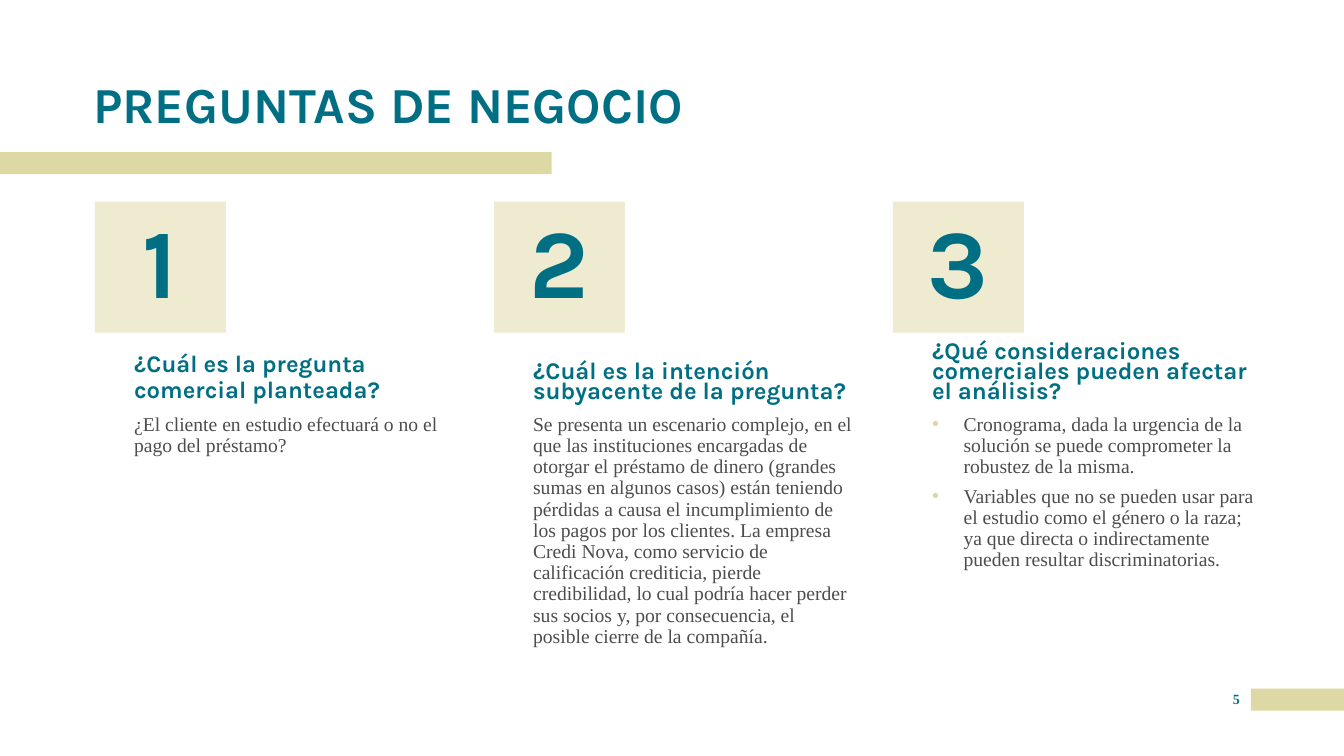
from dataclasses import dataclass
from lxml.etree import SubElement
from pptx import Presentation
from pptx.dml.color import RGBColor
from pptx.enum.shapes import MSO_SHAPE
from pptx.enum.text import MSO_ANCHOR, PP_ALIGN
from pptx.oxml.ns import qn
from pptx.util import Pt


@dataclass(frozen=True)
class Theme:
    teal: str = "006F83"
    sand: str = "DED8A4"
    gray: str = "4D4D4D"
    heading_font: str = "Karla"
    body_font: str = "Times New Roman"
    title_size: float = 36
    number_size: float = 70
    body_size: float = 14
    page_number_size: float = 10


theme = Theme()

deck = Presentation()
deck.slide_width = Pt(960)
deck.slide_height = Pt(540)
page = deck.slides.add_slide(deck.slide_layouts[6])


def add_block(left, top, width, height):
    block = page.shapes.add_shape(MSO_SHAPE.RECTANGLE, Pt(left), Pt(top), Pt(width), Pt(height))
    block.shadow.inherit = False
    block.fill.solid()
    block.fill.fore_color.rgb = RGBColor.from_string(theme.sand)
    block.line.fill.background()
    return block


def write(box, lines, size, font=theme.heading_font, color=theme.teal, bold=True,
          anchor=MSO_ANCHOR.TOP, align=PP_ALIGN.LEFT, spacing=0.9, before=0):
    frame = box.text_frame
    frame.word_wrap = True
    frame.vertical_anchor = anchor
    frame.margin_left = frame.margin_right = frame.margin_top = frame.margin_bottom = 0
    frame.text = "\n".join(lines)
    for para in frame.paragraphs:
        para.alignment = align
        para.line_spacing = spacing
        para.space_before = Pt(before)
        para.font.name = font
        para.font.size = Pt(size)
        para.font.bold = bold
        para.font.color.rgb = RGBColor.from_string(color)


add_block(893.5, 491.8, 66.5, 15.8)
add_block(0, 108.6, 394, 15.8)

title_box = page.shapes.add_textbox(Pt(66.5), Pt(49), Pt(614), Pt(46.8))
write(title_box, ["PREGUNTAS DE NEGOCIO"], theme.title_size, anchor=MSO_ANCHOR.BOTTOM)

questions = [
    ("¿Cuál es la pregunta comercial planteada?", 17, 0.9, 242, 89,
     ["¿El cliente en estudio efectuará o no el pago del préstamo?"]),
    ("¿Cuál es la intención subyacente de la pregunta?", 17.1, 0.7, 242.6, 232,
     ["Se presenta un escenario complejo, en el que las instituciones encargadas de otorgar "
      "el préstamo de dinero (grandes sumas en algunos casos) están teniendo pérdidas a causa "
      "el incumplimiento de los pagos por los clientes. La empresa Credi Nova, como servicio de "
      "calificación crediticia, pierde credibilidad, lo cual podría hacer perder sus socios y, "
      "por consecuencia, el posible cierre de la compañía."]),
    ("¿Qué consideraciones comerciales pueden afectar el análisis?", 17.1, 0.7, 242.6, 173,
     ["Cronograma, dada la urgencia de la solución se puede comprometer la robustez de la misma.",
      "Variables que no se pueden usar para el estudio como el género o la raza; ya que directa "
      "o indirectamente pueden resultar discriminatorias."]),
]

column_pitch = 285
text_width = 230.4

for index, (question, size, spacing, top, answer_height, answers) in enumerate(questions):
    left = 67.8 + index * column_pitch
    text_left = left + 28

    number_block = add_block(left, 144, 93.6, 93.6)
    sand_color = number_block.fill._xPr.find(qn("a:solidFill"))[0]
    SubElement(sand_color, qn("a:alpha"), val="50000")
    write(number_block, [str(index + 1)], theme.number_size, anchor=MSO_ANCHOR.MIDDLE,
          align=PP_ALIGN.CENTER, before=10)

    question_box = page.shapes.add_textbox(Pt(text_left), Pt(top), Pt(text_width), Pt(46))
    write(question_box, [question], size, anchor=MSO_ANCHOR.BOTTOM, spacing=spacing, before=10)

    answer_box = page.shapes.add_textbox(Pt(text_left), Pt(296), Pt(text_width), Pt(answer_height))
    write(answer_box, answers, theme.body_size, theme.body_font, theme.gray, False, before=6)
    if len(answers) > 1:
        for para in answer_box.text_frame.paragraphs:
            properties = para._p.get_or_add_pPr()
            properties.set("marL", str(Pt(22.5)))
            properties.set("indent", str(-Pt(22.5)))
            bullet_color = SubElement(properties, qn("a:buClr"))
            SubElement(bullet_color, qn("a:srgbClr"), val=theme.sand)
            SubElement(properties, qn("a:buFont"), typeface="Arial")
            SubElement(properties, qn("a:buChar"), char="•")
            properties.append(properties.find(qn("a:defRPr")))

page_number_box = page.shapes.add_textbox(Pt(872.6), Pt(493.2), Pt(20.9), Pt(18))
write(page_number_box, ["5"], theme.page_number_size, theme.body_font,
      align=PP_ALIGN.CENTER, spacing=1)

deck.save("out.pptx")
